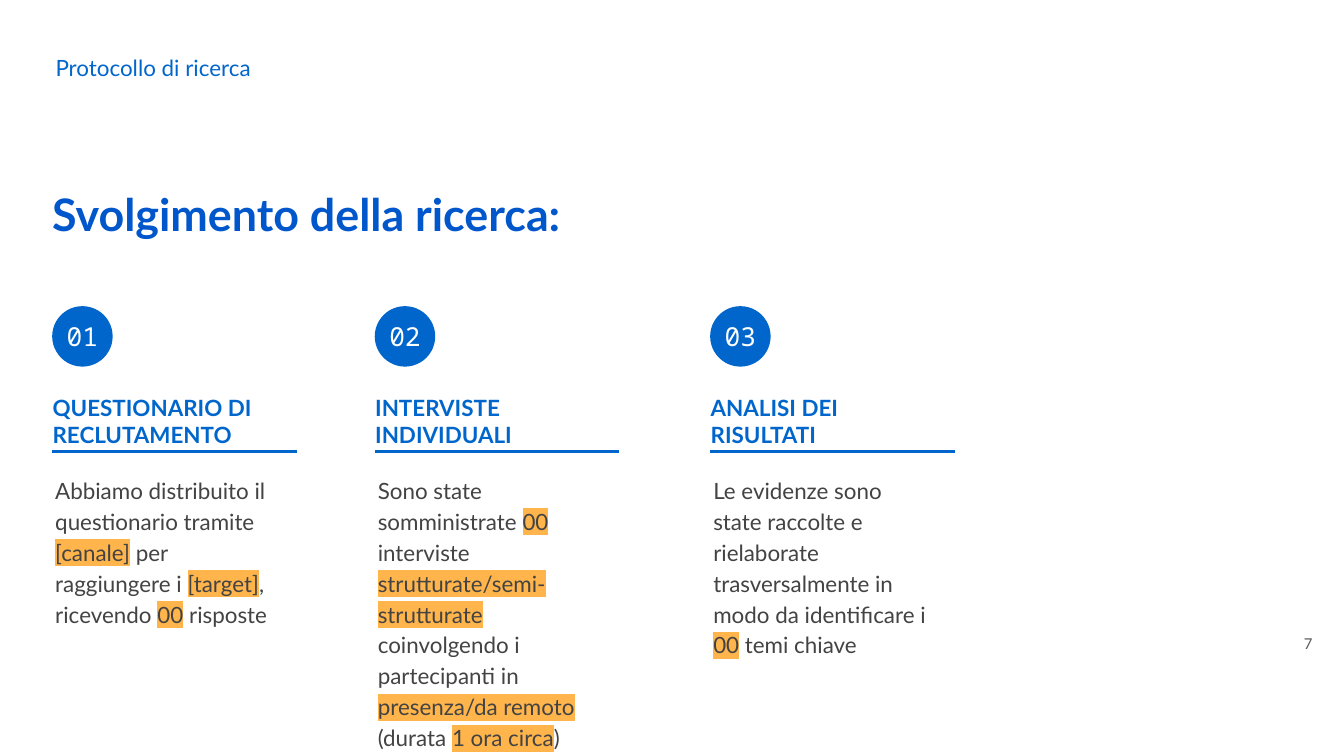
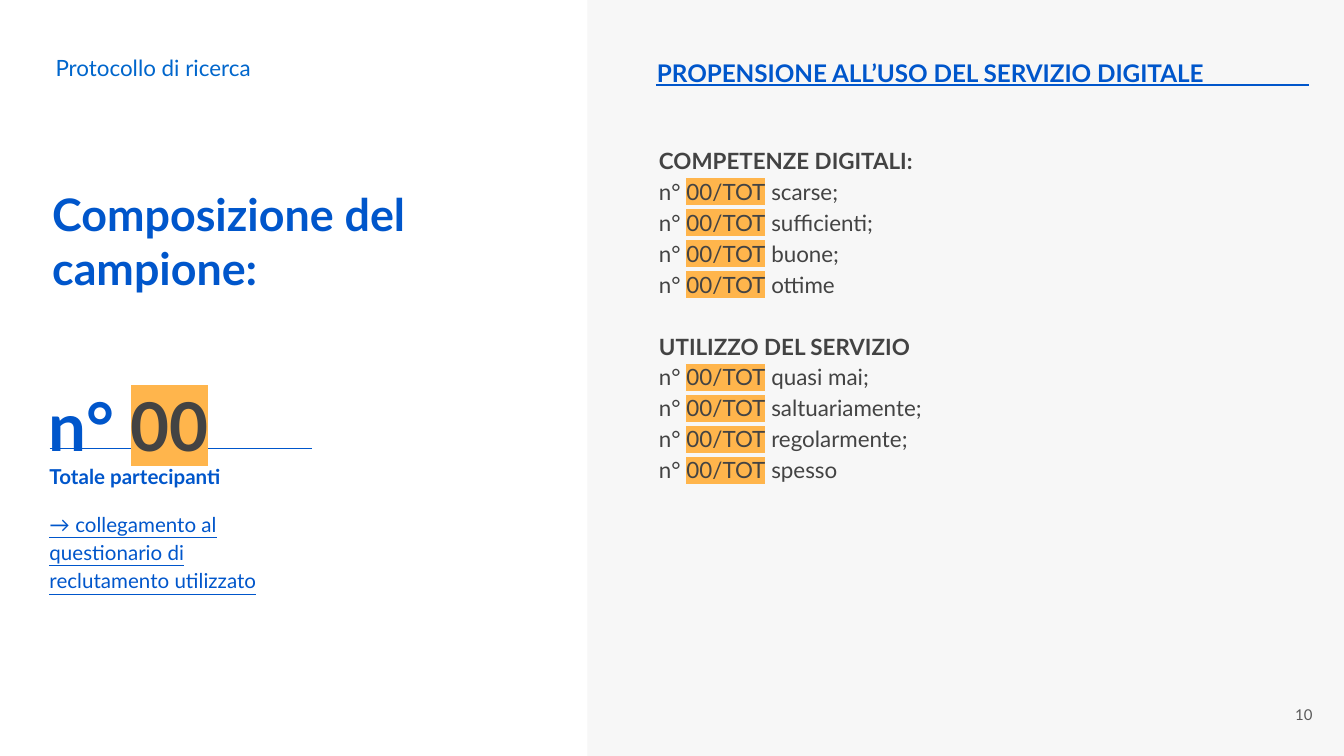
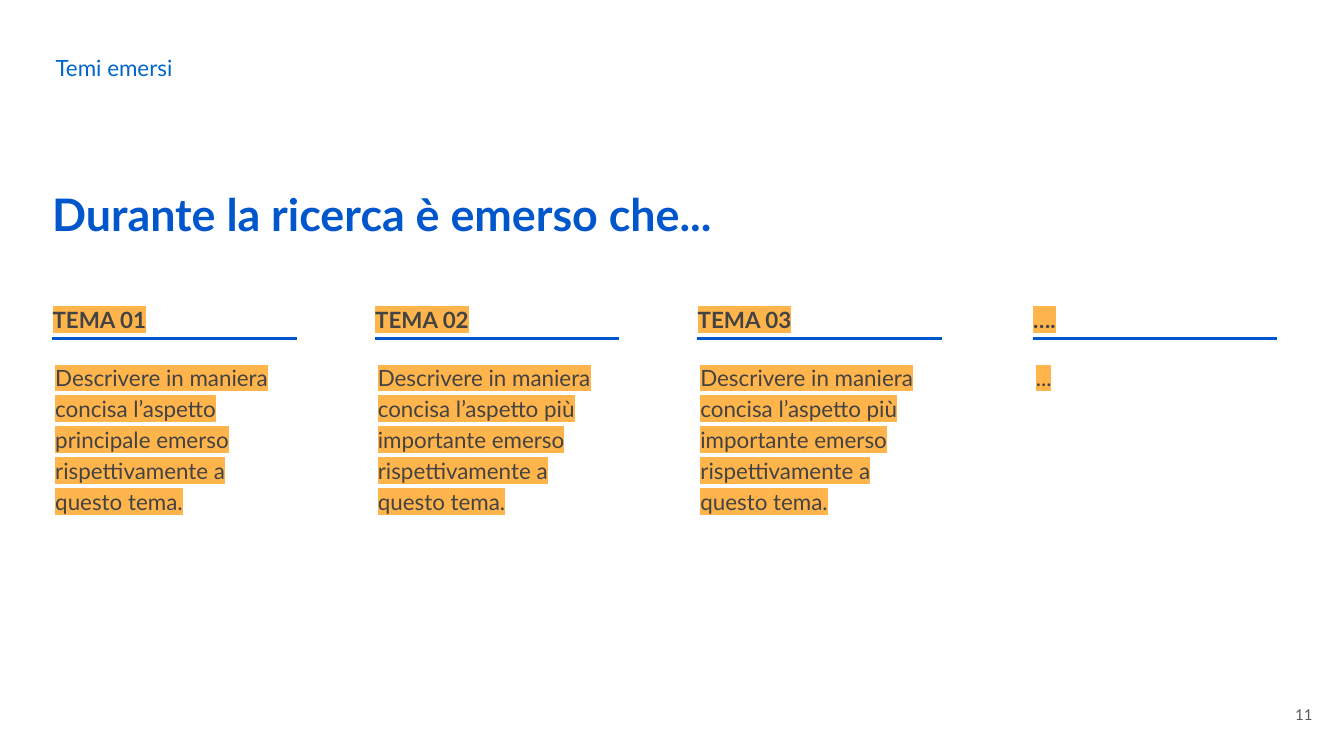
from lxml import etree
from pptx import Presentation
from pptx.dml.color import RGBColor
from pptx.enum.shapes import MSO_CONNECTOR, MSO_SHAPE
from pptx.enum.text import MSO_ANCHOR, PP_ALIGN
from pptx.oxml.ns import qn
from pptx.util import Inches, Pt

LINE, OVAL, RECT = MSO_CONNECTOR.STRAIGHT, MSO_SHAPE.OVAL, MSO_SHAPE.RECTANGLE
TOP, MID = MSO_ANCHOR.TOP, MSO_ANCHOR.MIDDLE
LEFT, MIDDLE, RIGHT = PP_ALIGN.LEFT, PP_ALIGN.CENTER, PP_ALIGN.RIGHT

INK = {"blue": "0066CC", "deep": "0056CB", "text": "434343", "page": "595959",
       "mark": "FFB54C", "pale": "F7F7F7", "white": "FFFFFF"}
SANS, MONO = "Lato", "Noto Sans Mono"
COLS, ROWS = 100, 56.25  # square grid over the slide
CELL = Inches(10) / COLS
FOOT = (92.65, 51, 6, 4.3)


def grid(*cells):
    return [round(n * CELL) for n in cells]


def rgb(name):
    return RGBColor.from_string(INK[name])


def mark(run):
    """Put the marker colour behind a run."""
    fill = run.font._element.find(qn("a:solidFill"))
    tag = etree.Element(qn("a:highlight"))
    etree.SubElement(tag, qn("a:srgbClr")).set("val", INK["mark"])
    fill.addnext(tag)


def write(slide, box, text, size=12, ink="text", bold=False, under=False,
          face=SANS, align=LEFT, anchor=TOP, lead=None):
    """Add a text box; each line is a paragraph, |bars| enclose marked words."""
    frame = slide.shapes.add_textbox(*grid(*box)).text_frame
    frame.word_wrap = True
    frame.vertical_anchor = anchor
    frame.margin_left = frame.margin_right = Inches(0.1)
    frame.margin_top = frame.margin_bottom = Inches(0.1)
    for i, line in enumerate(text.split("\n")):
        para = frame.add_paragraph() if i else frame.paragraphs[0]
        para.alignment = align
        para.line_spacing = lead
        for j, part in enumerate(line.split("|")):
            if not part:
                continue
            run = para.add_run()
            run.text = part
            font = run.font
            font.size, font.name = Pt(size), face
            font.bold, font.underline = bold, under
            font.color.rgb = rgb(ink)
            if j % 2:
                mark(run)
    return frame


def rule(slide, x, y, w, ink, width=1.5):
    line = slide.shapes.add_connector(LINE, *grid(x, y, x + w, y))
    line.line.color.rgb = rgb(ink)
    line.line.width = Pt(width)
    etree.SubElement(line._element.spPr, qn("a:effectLst"))


def shape(slide, kind, box, ink):
    item = slide.shapes.add_shape(kind, *grid(*box))
    item.shadow.inherit = False
    item.fill.solid()
    item.fill.fore_color.rgb = rgb(ink)
    item.line.fill.background()


def base(slide, topic, title, page, width, high=8.6, foot=FOOT):
    """Topic, title and page number, shared by all slides."""
    write(slide, foot, page, 8, "page", align=RIGHT, anchor=MID)
    write(slide, (3.15, 3.5, 42.4, 3.1), topic, ink="blue", anchor=MID)
    write(slide, (2.9, 12.9, width, high), title, 24, "deep", bold=True)


def column(slide, box, head, text, size, ink, tint):
    """Heading above a rule, text below; the box starts at the rule."""
    x, y, w, h = box
    wide, high, gap = size
    write(slide, (x - 0.95, y - high - gap, wide, high), head, ink=ink, bold=True)
    rule(slide, x, y, 18.2, tint)
    write(slide, (x - 0.75, y + 0.6, w, h), text, lead=1.15)


def badge(slide, x, y, label):
    shape(slide, OVAL, (x, y, 4.5, 4.5), "blue")
    write(slide, (x, y + 0.7, 4.5, 3.1), label, 14, "white", face=MONO,
          align=MIDDLE, anchor=MID)


def steps(slide):
    base(slide, "Protocollo di ricerca", "Svolgimento della ricerca:", "7", 49,
         foot=(92.65, 45.9, 6, 3.9))
    items = [
        (3.88, 18, "QUESTIONARIO DI RECLUTAMENTO",
         "Abbiamo distribuito il questionario tramite |[canale]| per "
         "raggiungere i |[target]|, ricevendo |00| risposte"),
        (27.88, 19, "INTERVISTE INDIVIDUALI",
         "Sono state somministrate |00 |interviste "
         "|strutturate/semi-strutturate| coinvolgendo i partecipanti in "
         "|presenza/da remoto| (durata |1 ora circa|)"),
        (52.84, 18, "ANALISI DEI RISULTATI",
         "Le evidenze sono state raccolte e rielaborate trasversalmente in "
         "modo da identificare i |00| temi chiave"),
    ]
    for i, (x, w, head, text) in enumerate(items, 1):
        badge(slide, x, 22.78, f"{i:02}")
        column(slide, (x, 33.6, w, 16.1), head, text, (19.2, 5.1, 0.15),
               "blue", "blue")


def total(slide, x, y):
    """Number of participants with its label and link line."""
    rule(slide, x + 1, y + 6.7, 19.5, "deep", 0.75)
    frame = write(slide, (x - 0.08, y, 18.1, 5.7), "n° |00|", 36, "deep",
                  bold=True, lead=1.15)
    frame.paragraphs[0].runs[1].font.color.rgb = rgb("text")
    write(slide, (x, y + 6.6, 20.6, 3.5), "Totale partecipanti", 11, "deep",
          bold=True, lead=1.15)
    write(slide, (x, y + 10.12, 20.6, 3.5),
          "→ collegamento al questionario di reclutamento utilizzato", 11,
          "deep", under=True, lead=1.15)


def panel(slide, x, y):
    """Heading and two counted lists."""
    write(slide, (x, y, 50.3, 3.1), "PROPENSIONE ALL’USO DEL SERVIZIO DIGITALE",
          13, "deep", bold=True)
    rule(slide, x + 0.9, y + 3.02, 48.6, "deep")
    lists = {
        "COMPETENZE DIGITALI:": ["scarse;", "sufficienti;", "buone;", "ottime"],
        "UTILIZZO DEL SERVIZIO": ["quasi mai;", "saltuariamente;",
                                  "regolarmente;", "spesso"],
    }
    lines = []
    for head, words in lists.items():
        lines += [head] + [f"n° |00/TOT| {word}" for word in words]
    frame = write(slide, (x + 0.15, y + 6.35, 48.6, 29.2), "\n".join(lines),
                  lead=1.15)
    for para in frame.paragraphs:
        if para.text in lists:
            para.runs[0].font.bold = True
            if para.text != lines[0]:
                para.space_before = Pt(16.6)


def sample(slide):
    shape(slide, RECT, (43.7, 0, COLS - 43.7, ROWS), "pale")
    base(slide, "Protocollo di ricerca", "Composizione del campione:", "10", 35.4)
    total(slide, 2.7, 26.68)
    panel(slide, 47.9, 3.3)


def themes(slide):
    base(slide, "Temi emersi", "Durante la ricerca è emerso che...", "11", 63.3,
         high=5.1)
    text = ("|Descrivere in maniera concisa l’aspetto {} emerso "
            "rispettivamente a questo tema.|")
    main, more = text.format("principale"), text.format("più importante")
    items = [(3.88, 18, "TEMA 01", main), (27.88, 19.6, "TEMA 02", more),
             (51.88, 19.6, "TEMA 03", more), (76.84, 18, "….", "|...|")]
    for x, w, head, body in items:
        column(slide, (x, 25.2, w, 20.3), f"|{head}|", body, (10.6, 3.1, 0.33),
               "text", "deep")


def main():
    deck = Presentation()
    deck.slide_width, deck.slide_height = grid(COLS, ROWS)
    for build in (steps, sample, themes):
        build(deck.slides.add_slide(deck.slide_layouts[6]))
    deck.save("out.pptx")


if __name__ == "__main__":
    main()
